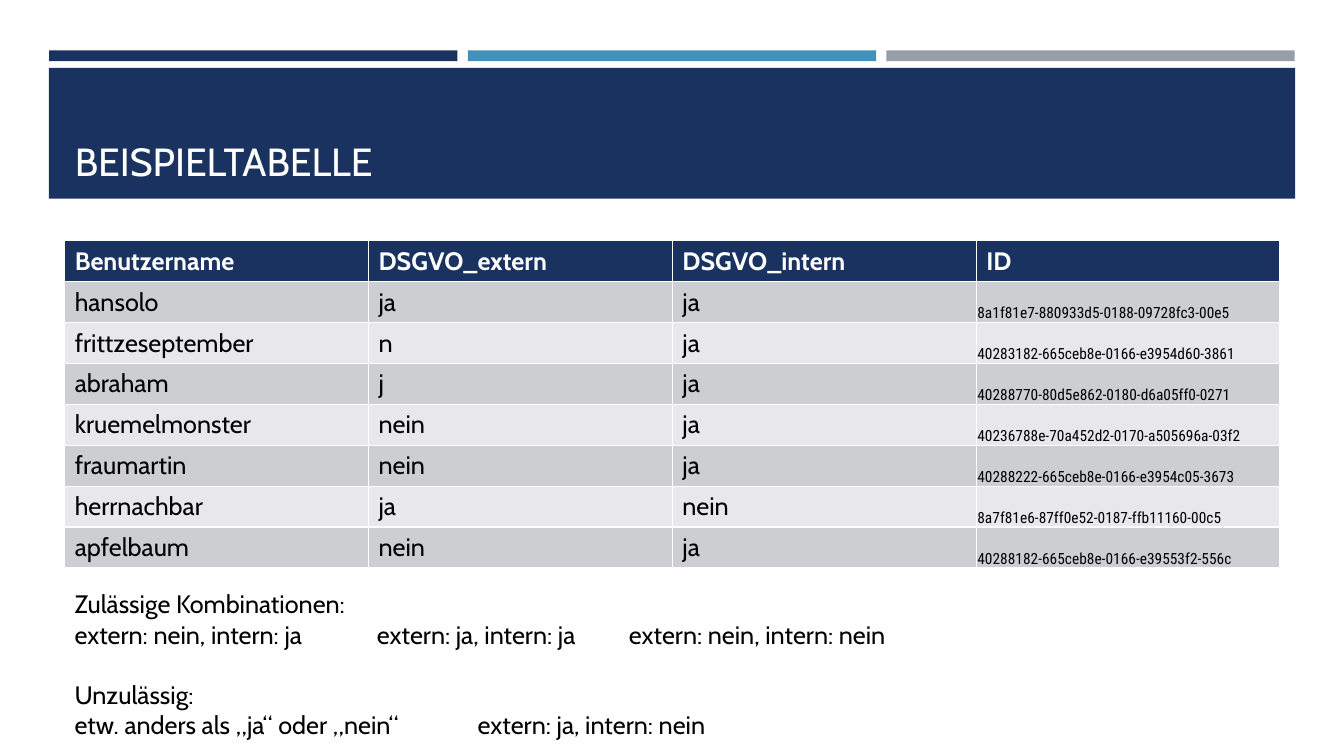
from dataclasses import dataclass

from lxml import etree
from pptx import Presentation
from pptx.dml.color import RGBColor
from pptx.enum.shapes import MSO_SHAPE
from pptx.enum.text import MSO_ANCHOR, MSO_AUTO_SIZE, PP_ALIGN
from pptx.oxml.ns import qn
from pptx.util import Cm, Pt

RECT = MSO_SHAPE.RECTANGLE
LEFT = PP_ALIGN.LEFT
TOP, BOTTOM = MSO_ANCHOR.TOP, MSO_ANCHOR.BOTTOM
NO_FIT = MSO_AUTO_SIZE.NONE


@dataclass(frozen=True)
class Theme:
    navy: str = "1A3260"
    blue: str = "4590B8"
    grey: str = "969FA7"
    dark: str = "CDCED2"
    light: str = "E8E8EA"
    white: str = "FFFFFF"
    black: str = "000000"
    font: str = "Cabin"
    narrow: str = "Roboto Condensed"
    head: float = 28
    body: float = 18
    small: float = 11
    gap: float = 21.6


THEME = Theme()
EDGE, WIDTH = 1.63, 30.63

HEADS = ["Benutzername", "DSGVO_extern", "DSGVO_intern", "ID"]
USERS = [
    ["hansolo", "ja", "ja", "8a1f81e7-880933d5-0188-09728fc3-00e5"],
    ["frittzeseptember", "n", "ja", "40283182-665ceb8e-0166-e3954d60-3861"],
    ["abraham", "j", "ja", "40288770-80d5e862-0180-d6a05ff0-0271"],
    ["kruemelmonster", "nein", "ja", "40236788e-70a452d2-0170-a505696a-03f2"],
    ["fraumartin", "nein", "ja", "40288222-665ceb8e-0166-e3954c05-3673"],
    ["herrnachbar", "ja", "nein", "8a7f81e6-87ff0e52-0187-ffb11160-00c5"],
    ["apfelbaum", "nein", "ja", "40288182-665ceb8e-0166-e39553f2-556c"],
]
# Each note: text, space before in points, tab stops in cm
NOTES = [
    ("Zulässige Kombinationen:", 0, []),
    ("extern: nein, intern: ja\textern: ja, intern: ja\textern: nein, intern: nein",
     0, [7.62, 13.97]),
    ("Unzulässig:", THEME.gap, []),
    ("etw. anders als „ja“ oder „nein“\textern: ja, intern: nein", 0, [10.16]),
]


def place(shape, left, top, width, height):
    shape.left, shape.top = Cm(left), Cm(top)
    shape.width, shape.height = Cm(width), Cm(height)


def write(para, text, size=THEME.body, font=THEME.font, color=THEME.black,
          bold=False, before=0):
    para.alignment = LEFT
    para.space_before = Pt(before)
    run = para.add_run()
    run.text = text
    run.font.size = Pt(size)
    run.font.name = font
    run.font.bold = bold
    run.font.color.rgb = RGBColor.from_string(color)


def set_tabs(para, stops):
    tabs = etree.SubElement(para._p.get_or_add_pPr(), qn("a:tabLst"))
    for stop in stops:
        etree.SubElement(tabs, qn("a:tab"), pos=str(Cm(stop)), algn="l")


def add_bar(slide, color, left, top, width, height):
    bar = slide.shapes.add_shape(RECT, Cm(left), Cm(top), Cm(width), Cm(height))
    bar.shadow.inherit = False
    bar.fill.solid()
    bar.fill.fore_color.rgb = RGBColor.from_string(color)
    bar.line.fill.background()


def add_title(slide, text):
    """Fill the title placeholder and bring it in front of its band."""
    title = slide.shapes.title
    place(title, EDGE, 1.96, WIDTH, 2.82)
    frame = title.text_frame
    frame.auto_size = NO_FIT
    frame.vertical_anchor = BOTTOM
    write(frame.paragraphs[0], text, size=THEME.head, color=THEME.white)
    title.element.getparent().append(title.element)


def fill_cell(cell, text, fill, **form):
    cell.fill.solid()
    cell.fill.fore_color.rgb = RGBColor.from_string(fill)
    write(cell.text_frame.paragraphs[0], text, **form)


def add_users(slide):
    rows, cols, height = len(USERS) + 1, len(HEADS), 1.03
    grid = slide.shapes.add_table(rows, cols, Cm(EDGE), Cm(6.07),
                                  Cm(WIDTH), Cm(rows * height)).table
    for row in grid.rows:
        row.height = Cm(height)
    for col, head in enumerate(HEADS):
        fill_cell(grid.cell(0, col), head, THEME.navy,
                  color=THEME.white, bold=True)
    for num, (*words, code) in enumerate(USERS, 1):
        fill = THEME.dark if num % 2 else THEME.light
        for col, word in enumerate(words):
            fill_cell(grid.cell(num, col), word, fill)
        cell = grid.cell(num, cols - 1)
        cell.vertical_anchor = BOTTOM
        cell.margin_left = cell.margin_right = cell.margin_top = Cm(0.03)
        cell.margin_bottom = Cm(0)
        fill_cell(cell, code, fill, size=THEME.small, font=THEME.narrow)


def add_notes(slide):
    box = slide.shapes.add_textbox(Cm(EDGE), Cm(14.71), Cm(WIDTH), Cm(4.11))
    frame = box.text_frame
    frame.word_wrap = True
    frame.vertical_anchor = TOP
    for num, (text, before, stops) in enumerate(NOTES):
        para = frame.add_paragraph() if num else frame.paragraphs[0]
        write(para, text, before=before)
        if stops:
            set_tabs(para, stops)


def main():
    deck = Presentation()
    deck.slide_width, deck.slide_height = Cm(33.87), Cm(19.05)
    slide = deck.slides.add_slide(deck.slide_layouts.get_by_name("Title Only"))
    for num, color in enumerate([THEME.navy, THEME.blue, THEME.grey]):
        add_bar(slide, color, 1.24 + num * 10.55, 1.27, 10.29, 0.27)
    add_bar(slide, THEME.navy, 1.23, 1.71, 31.41, 3.3)
    add_title(slide, "BEISPIELTABELLE")
    add_users(slide)
    add_notes(slide)
    deck.save("out.pptx")


if __name__ == "__main__":
    main()
